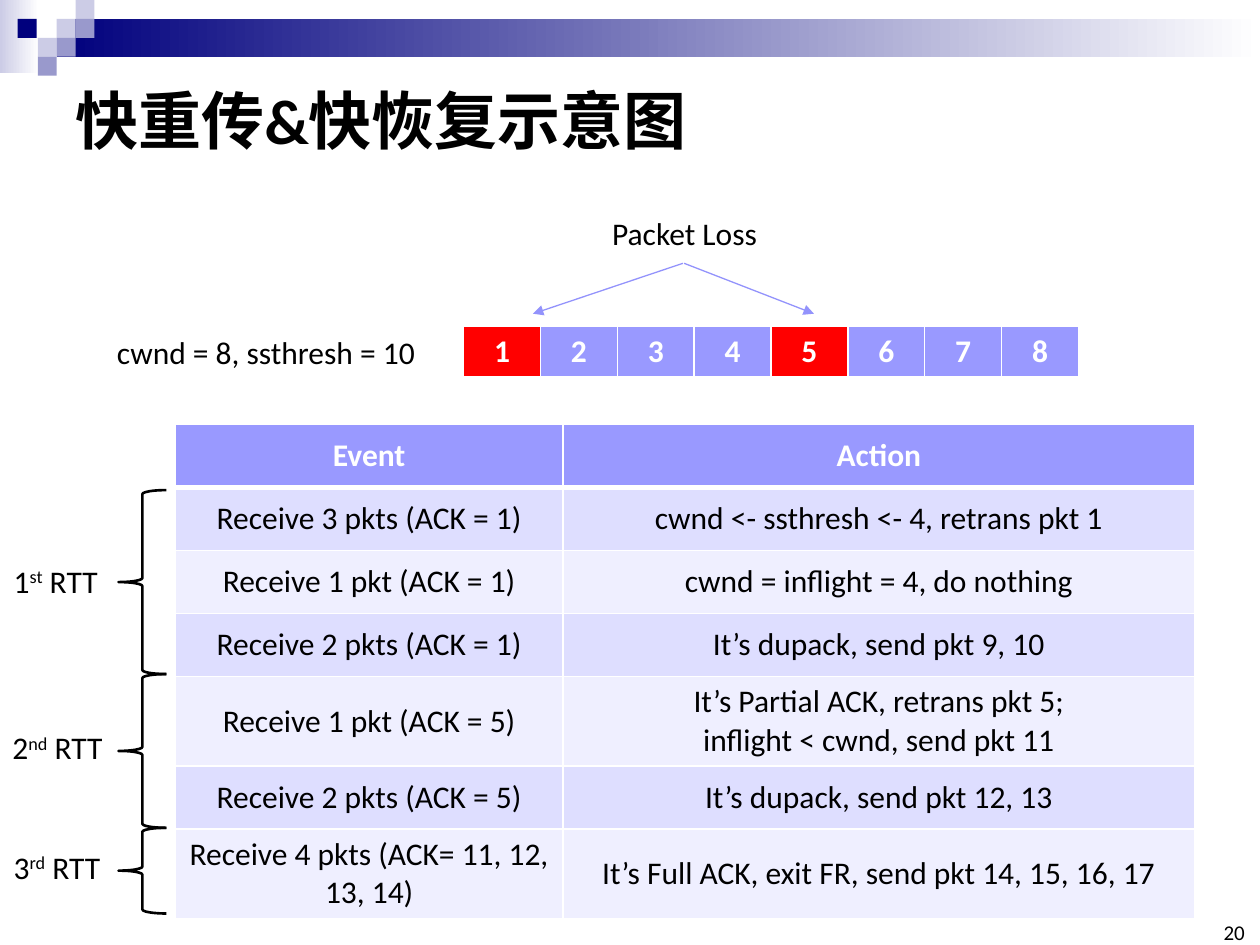
from lxml import etree
from pptx import Presentation
from pptx.dml.color import RGBColor
from pptx.enum.shapes import MSO_CONNECTOR, MSO_SHAPE
from pptx.enum.text import MSO_ANCHOR, PP_ALIGN
from pptx.oxml.ns import qn
from pptx.util import Inches, Pt

RECT, BRACE = MSO_SHAPE.RECTANGLE, MSO_SHAPE.LEFT_BRACE
LINE = MSO_CONNECTOR.STRAIGHT
LEFT, MID, RIGHT = PP_ALIGN.LEFT, PP_ALIGN.CENTER, PP_ALIGN.RIGHT
TOP, CENTER, LOW = MSO_ANCHOR.TOP, MSO_ANCHOR.MIDDLE, MSO_ANCHOR.BOTTOM
NAVY, PALE, DUSK = "00007D", "CCCCE6", "9999CC"
LILAC, RED, WHITE, BLACK = "9999FF", "FF0000", "FFFFFF", "000000"
BANDS = ("DEDEFF", "EFEFFF")

TILES = [
    (0.45, 0.15, PALE), (0.6, 0, PALE), (0.6, 0.15, DUSK),
    (0.3, 0.3, PALE), (0.14, 0.15, NAVY), (0.45, 0.3, DUSK),
    (0.3, 0.45, DUSK),
]
STEPS = [
    ("Event", "Action"),
    ("Receive 3 pkts (ACK = 1)", "cwnd <- ssthresh <- 4, retrans pkt 1"),
    ("Receive 1 pkt (ACK = 1)", "cwnd = inflight = 4, do nothing"),
    ("Receive 2 pkts (ACK = 1)", "It’s dupack, send pkt 9, 10"),
    ("Receive 1 pkt (ACK = 5)",
     "It’s Partial ACK, retrans pkt 5;\ninflight < cwnd, send pkt 11"),
    ("Receive 2 pkts (ACK = 5)", "It’s dupack, send pkt 12, 13"),
    ("Receive 4 pkts (ACK= 11, 12, 13, 14)",
     "It’s Full ACK, exit FR, send pkt 14, 15, 16, 17"),
]
TRIPS = [
    ("1^st^ RTT", 0.01, 4.41, 3.89, 1.46),
    ("2^nd^ RTT", 0, 5.73, 5.35, 1.22),
    ("3^rd^ RTT", 0.01, 6.68, 6.57, 0.68),
]


def paint(color, hue):
    color.rgb = RGBColor.from_string(hue)


def fill(item, hue):
    item.fill.solid()
    paint(item.fill.fore_color, hue)


def write(frame, text, size=18, hue=BLACK, bold=False, align=LEFT):
    for i, row in enumerate(text.split("\n")):
        para = frame.add_paragraph() if i else frame.paragraphs[0]
        para.alignment = align
        for j, part in enumerate(row.split("^")):
            run = para.add_run()
            run.text = part
            font = run.font
            font.name, font.size, font.bold = "Calibri", Pt(size), bold
            paint(font.color, hue)
            if j % 2:
                run._r.get_or_add_rPr().set("baseline", "30000")


def label(slide, box, text, wrap=False, inset=None, anchor=TOP, **style):
    frame = slide.shapes.add_textbox(*map(Inches, box)).text_frame
    frame.word_wrap = wrap
    frame.vertical_anchor = anchor
    if inset is not None:
        frame.margin_left = frame.margin_right = Inches(inset)
        frame.margin_top = frame.margin_bottom = Inches(inset)
    write(frame, text, **style)


def block(slide, box, hue, fade=False):
    shape = slide.shapes.add_shape(RECT, *map(Inches, box))
    shape.shadow.inherit = False
    shape.line.fill.background()
    if fade:
        shape.fill.gradient()
        shape.fill.gradient_angle = 0
        for stop, tone, at in zip(shape.fill.gradient_stops, (hue, WHITE), (0, 1)):
            paint(stop.color, tone)
            stop.position = at
    else:
        fill(shape, hue)


def brace(slide, top, height):
    box = map(Inches, (0.94, top, 0.38, height))
    shape = slide.shapes.add_shape(BRACE, *box)
    shape.shadow.inherit = False
    shape.fill.background()
    paint(shape.line.color, BLACK)
    shape.line.width = Pt(1.5)


def arrow(slide, *ends):
    line = slide.shapes.add_connector(LINE, *map(Inches, ends))
    paint(line.line.color, "9393FC")
    line.line.width = Pt(0.75)
    props = line._element.spPr
    etree.SubElement(props.find(qn("a:ln")), qn("a:tailEnd"), type="triangle")
    etree.SubElement(props, qn("a:effectLst"))


def edge(cell, low):
    props = cell._tc.get_or_add_tcPr()
    for side, width in (("L", 1), ("R", 1), ("T", 1), ("B", low)):
        line = etree.SubElement(props, qn("a:ln" + side), w=str(Pt(width)))
        solid = etree.SubElement(line, qn("a:solidFill"))
        etree.SubElement(solid, qn("a:srgbClr"), val=WHITE)


def grid(slide, left, top, rows, cols, heights, shade, anchor):
    box = map(Inches, (left, top, sum(cols), sum(heights)))
    table = slide.shapes.add_table(len(rows), len(cols), *box).table
    table.horz_banding = False
    for col, width in zip(table.columns, cols):
        col.width = Inches(width)
    for r, texts in enumerate(rows):
        table.rows[r].height = Inches(heights[r])
        head = r == 0
        for c, text in enumerate(texts):
            cell = table.cell(r, c)
            cell.vertical_anchor = anchor
            edge(cell, 3 if head else 1)
            fill(cell, shade(r, c))
            write(cell.text_frame, text, hue=WHITE if head else BLACK,
                  bold=head, align=MID)


def main():
    deck = Presentation()
    deck.slide_width, deck.slide_height = Inches(10), Inches(7.5)
    slide = deck.slides.add_slide(deck.slide_layouts[5])

    block(slide, (0, 0, 0.31, 0.58), PALE, fade=True)
    block(slide, (0.45, 0.15, 9.55, 0.3), NAVY, fade=True)
    for left, top, hue in TILES:
        block(slide, (left, top, 0.15, 0.15), hue)

    title = slide.shapes.title
    title.left, title.top = Inches(0.5), Inches(0.5)
    title.width, title.height = Inches(9), Inches(0.89)
    title.text_frame.vertical_anchor = CENTER
    write(title.text_frame, "快重传&快恢复示意图", size=36, bold=True)
    label(slide, (9.65, 7.33, 0.23, 0.17), "20", inset=0, anchor=LOW,
          size=12, align=RIGHT)

    grid(slide, 3.68, 2.59, ["12345678"], [0.61] * 8, [0.41],
         lambda r, c: RED if c in (0, 4) else LILAC, TOP)
    arrow(slide, 5.42, 2.09, 4.23, 2.49)
    arrow(slide, 5.43, 2.09, 6.46, 2.49)
    label(slide, (4.76, 1.65, 1.36, 0.4), "Packet Loss")
    label(slide, (0.83, 2.59, 2.61, 0.4), "cwnd = 8, ssthresh = 10", wrap=True)

    heights = [0.5, 0.5, 0.5, 0.5, 0.71, 0.5, 0.71]
    grid(slide, 1.39, 3.37, STEPS, [3.08, 5.01], heights,
         lambda r, c: BANDS[(r - 1) % 2] if r else LILAC, CENTER)
    for text, left, top, start, height in TRIPS:
        brace(slide, start, height)
        label(slide, (left, top, 0.92, 0.4), text)

    deck.save("out.pptx")


main()
